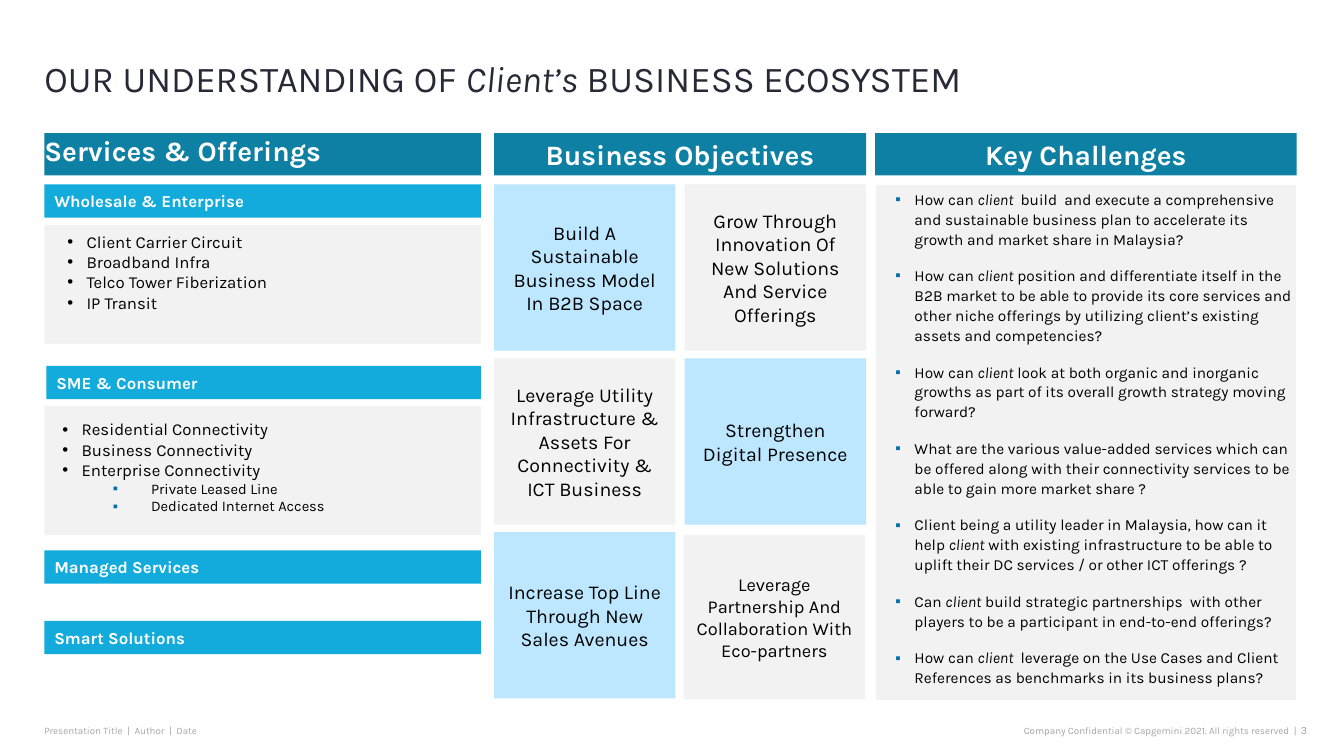
from lxml.etree import SubElement
from pptx import Presentation
from pptx.dml.color import RGBColor
from pptx.enum.shapes import MSO_SHAPE as Shape
from pptx.enum.text import MSO_ANCHOR as Anchor, PP_ALIGN as Align
from pptx.oxml.ns import qn
from pptx.util import Inches, Pt

FONT = "Karla"
WHITE = RGBColor(0xFF, 0xFF, 0xFF)
BLACK = RGBColor(0, 0, 0)
INK = RGBColor(0x27, 0x29, 0x36)
GREY = RGBColor(0xA6, 0xA6, 0xA6)
PALE_GREY = RGBColor(0xF2, 0xF2, 0xF2)
PALE_BLUE = RGBColor(0xBC, 0xE7, 0xFF)
TEAL = RGBColor(0x0D, 0x80, 0xA4)
CYAN = RGBColor(0x12, 0xAB, 0xDB)
BLUE = RGBColor(0x00, 0x70, 0xAD)

# Columns and rows of the slide, in inches
SERVICES, OBJECTIVES, CHALLENGES = (0.44, 4.33), (4.9, 3.69), (8.68, 4.18)
HEADER_TOP, HEADER_HEIGHT, BODY_TOP = 1.32, 0.42, 1.83
INSETS = (0.1, 0.05, 0.1, 0.05)
FLUSH = (0, 0, 0, 0)

deck = Presentation()
deck.slide_width, deck.slide_height = Inches(13.33), Inches(7.5)
page = deck.slides.add_slide(deck.slide_layouts[6])


def add_box(left, top, width, height, fill=None, anchor=Anchor.MIDDLE, insets=INSETS, wrap=True):
    area = [Inches(length) for length in (left, top, width, height)]
    if fill is None:
        box = page.shapes.add_textbox(*area)
    else:
        box = page.shapes.add_shape(Shape.RECTANGLE, *area)
        box.shadow.inherit = False
        box.fill.solid()
        box.fill.fore_color.rgb = fill
        box.line.fill.background()
    frame = box.text_frame
    frame.word_wrap = wrap
    frame.vertical_anchor = anchor
    frame.margin_left, frame.margin_top, frame.margin_right, frame.margin_bottom = map(Inches, insets)
    return box


def add_text(box, text, size, color, align=Align.LEFT, bold=False, bullet=None):
    """Add one paragraph; asterisks enclose italics, bullet is (sign, color, margin, hang)."""
    frame = box.text_frame
    para = frame.paragraphs[0]
    if para.runs:
        para = frame.add_paragraph()
    para.alignment = align
    if bullet:
        sign, sign_color, margin, hang = bullet
        props = para._p.get_or_add_pPr()
        props.set("marL", str(Inches(margin)))
        props.set("indent", str(-Inches(hang)))
        tint = SubElement(props, qn("a:buClr"))
        SubElement(tint, qn("a:srgbClr"), val=str(sign_color))
        SubElement(props, qn("a:buFont"), typeface="Arial")
        SubElement(props, qn("a:buChar"), char=sign)
    for index, part in enumerate(text.split("*")):
        span = para.add_run()
        span.text = part
        span.font.name = FONT
        span.font.size = Pt(size)
        span.font.color.rgb = color
        span.font.bold = bold
        span.font.italic = index % 2 == 1
    return para


# Title
title = add_box(0.44, 0.22, 11.97, 0.78, anchor=Anchor.BOTTOM, insets=FLUSH)
para = add_text(title, "OUR UNDERSTANDING OF *Client’s* BUSINESS ECOSYSTEM", 26, INK)
para.line_spacing = 0.9

# Column headers
for (left, width), heading, align, anchor in [
    (SERVICES, "Services & Offerings", Align.LEFT, Anchor.TOP),
    (OBJECTIVES, "Business Objectives", Align.CENTER, Anchor.MIDDLE),
    (CHALLENGES, "Key Challenges", Align.CENTER, Anchor.MIDDLE),
]:
    header = add_box(left, HEADER_TOP, width, HEADER_HEIGHT, TEAL, anchor, FLUSH)
    add_text(header, heading, 20, WHITE, align, bold=True).space_after = Pt(6)

# Services: grey panels and cyan bars
left, width = SERVICES
for top, height in [(2.23, 1.18), (4.03, 1.28)]:
    add_box(left, top, width, height, PALE_GREY)
for shift, top, name in [
    (0, BODY_TOP, "Wholesale & Enterprise"),
    (0.02, 3.63, "SME & Consumer"),
    (0, 5.46, "Managed Services"),
    (0, 6.16, "Smart Solutions"),
]:
    bar = add_box(left + shift, top, width - shift, 0.33, CYAN)
    add_text(bar, name, 12, WHITE, bold=True)

# Services: bulleted lists
DOT = ("•", BLACK, 0.19, 0.19)
SUB_SQUARE = ("▪", BLUE, 0.88, 0.38)
for area, services, details in [
    ((0.57, 2.25, 4.04, 0.91),
     ["Client Carrier Circuit", "Broadband Infra", "Telco Tower Fiberization", "IP Transit"], []),
    ((0.52, 4.11, 4.21, 1.06),
     ["Residential Connectivity", "Business Connectivity", "Enterprise Connectivity"],
     ["Private Leased Line", "Dedicated Internet Access"]),
]:
    listing = add_box(*area, anchor=Anchor.TOP)
    for service in services:
        add_text(listing, service, 12, BLACK, bullet=DOT)
    for detail in details:
        add_text(listing, detail, 10.5, BLACK, bullet=SUB_SQUARE).level = 1

# Objectives: a checkerboard of two columns and three rows
TILE_WIDTH, TILE_HEIGHT = 1.8, 1.65
COLUMN_STEP, ROW_STEP = 1.89, 1.725
objectives = [
    "Build A Sustainable Business Model In B2B Space",
    "Grow Through Innovation Of New Solutions And Service Offerings",
    "Leverage Utility Infrastructure & Assets For Connectivity & ICT Business",
    "Strengthen Digital Presence",
    "Increase Top Line Through New Sales Avenues",
    "Leverage Partnership And Collaboration With Eco-partners",
]
for index, objective in enumerate(objectives):
    row, column = divmod(index, 2)
    last = index == len(objectives) - 1
    tile = add_box(
        OBJECTIVES[0] + column * COLUMN_STEP - 0.01 * last,
        BODY_TOP + row * ROW_STEP + 0.03 * last,
        TILE_WIDTH,
        TILE_HEIGHT - 0.02 * last,
        PALE_GREY if (row + column) % 2 else PALE_BLUE,
    )
    add_text(tile, objective, 13 if last else 14, BLACK, Align.CENTER)

# Challenges
left, width = CHALLENGES
panel = add_box(left, BODY_TOP, width, 5.12, PALE_GREY, Anchor.TOP, (0, 0.04, 0.04, 0))
panel.line.color.rgb = WHITE
panel.line.width = Pt(0.75)
SQUARE = ("▪", BLUE, 0.39, 0.19)
for challenge in [
    "How can *client * build  and execute a comprehensive and sustainable business plan "
    "to accelerate its growth and market share in Malaysia?",
    "How can *client* position and differentiate itself in the B2B market to be able to provide "
    "its core services and other niche offerings by utilizing client’s existing assets and competencies?",
    "How can *client* look at both organic and inorganic growths as part of its overall "
    "growth strategy moving forward?",
    "What are the various value-added services which can be offered along with their "
    "connectivity services to be able to gain more market share ?",
    "Client being a utility leader in Malaysia, how can it help *client* with existing infrastructure "
    "to be able to uplift their DC services / or other ICT offerings ?",
    "Can *client* build strategic partnerships  with other players to be a participant "
    "in end-to-end offerings?",
    "How can *client * leverage on the Use Cases and Client References as benchmarks "
    "in its business plans?",
]:
    para = add_text(panel, challenge, 11, BLACK, bullet=SQUARE)
    para.level = 1
    para.line_spacing = Pt(14.2)
    para.space_after = Pt(12)

# Footer
for area, note, size, align, wrap in [
    ((0.44, 7.19, 1.57, 0.12), "Presentation Title  |  Author  |  Date", 7, Align.LEFT, False),
    ((10.09, 7.19, 2.77, 0.12), "Company Confidential © Capgemini 2021. All rights reserved  |",
     7, Align.RIGHT, False),
    ((12.9, 7.18, 0.25, 0.13), "3", 8, Align.LEFT, True),
]:
    add_text(add_box(*area, insets=FLUSH, wrap=wrap), note, size, GREY, align)

deck.save("out.pptx")
